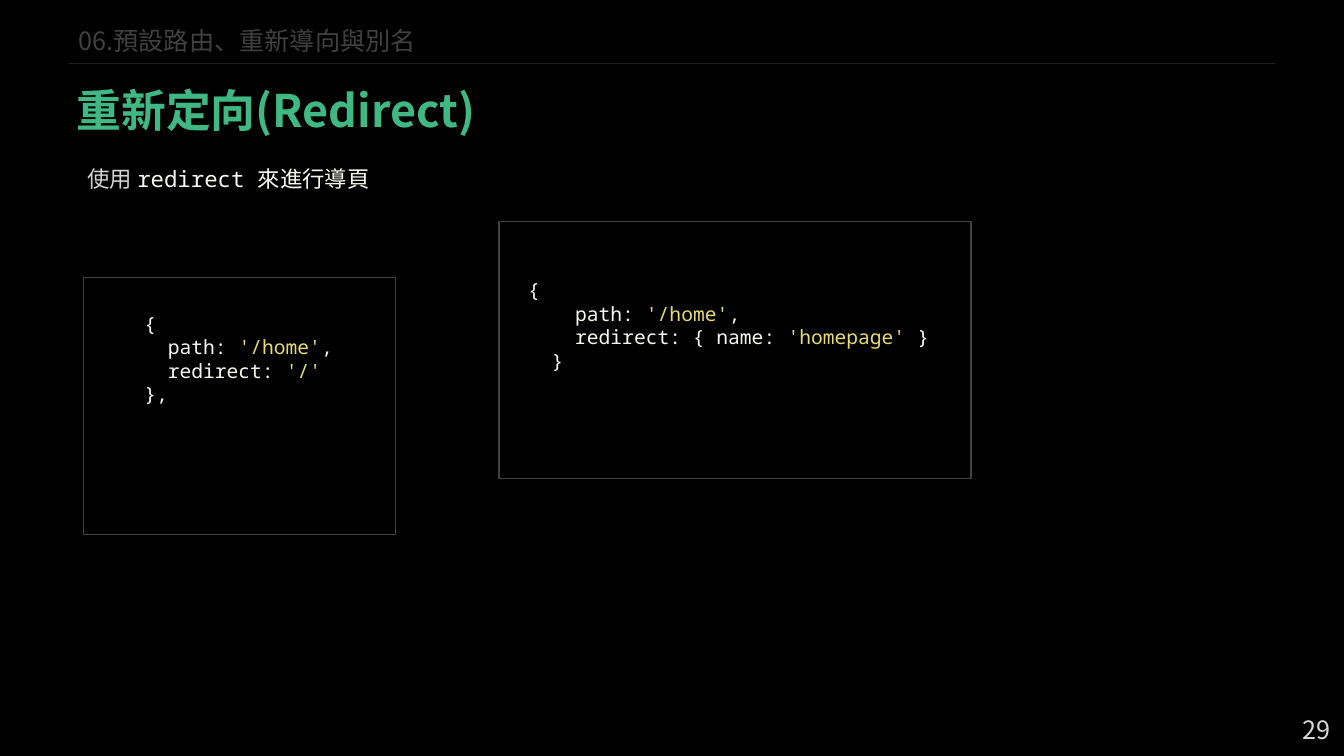
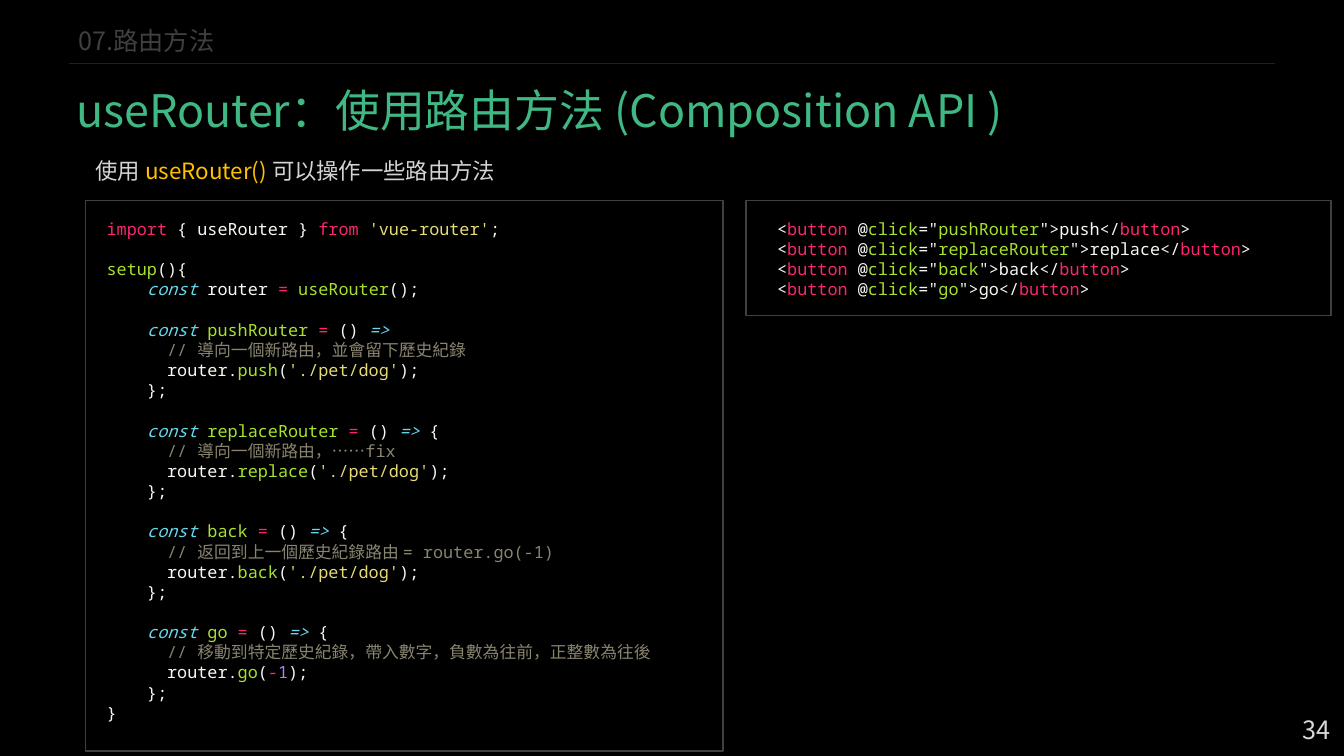
from lxml import etree
from pptx import Presentation
from pptx.dml.color import RGBColor
from pptx.enum.shapes import MSO_CONNECTOR, MSO_SHAPE
from pptx.oxml.ns import qn
from pptx.util import Inches, Pt

RECTANGLE = MSO_SHAPE.RECTANGLE
STRAIGHT = MSO_CONNECTOR.STRAIGHT
rgb = RGBColor.from_string

# Shared palette and fonts
BLACK, GRAY, GREEN = "000000", "404040", "40B883"
PAGE, BODY, AMBER = "D9D9D9", "D4D4D4", "FFC000"
PLAIN, STRING, KEYWORD, NAME = "F8F8F2", "E6DB74", "F92672", "A6E22E"
DECLARE, COMMENT, NUMBER = "66D9EF", "88846F", "AE81FF"
SANS, SANS_SC, MONO = "Noto Sans CJK TC", "Noto Sans CJK SC", "Noto Sans Mono"
LINE_RATIO, CHAR_RATIO = 1.2, 0.6  # line height and mono width per point


def add_text(slide, box, lines, size, font=SANS, spacing=None, bold=None):
    """Each line is (indent in characters, blank lines above, runs)."""
    frame = slide.shapes.add_textbox(*map(Inches, box)).text_frame
    frame.word_wrap = True
    for number, (indent, gap, runs) in enumerate(lines):
        paragraph = frame.paragraphs[0] if number == 0 else frame.add_paragraph()
        if spacing:
            paragraph.line_spacing = spacing
        if gap:
            paragraph.space_before = Pt(gap * size * LINE_RATIO)
        if indent:
            properties = paragraph._p.get_or_add_pPr()
            properties.set("marL", str(Pt(indent * size * CHAR_RATIO)))
            properties.set("indent", "0")
        for text, color, *own_font in runs:
            run = paragraph.add_run()
            run.text = text
            run.font.size = Pt(size)
            run.font.name = own_font[0] if own_font else font
            run.font.color.rgb = rgb(color)
            run.font.bold = bold
            if color == DECLARE:
                run.font.italic = True
            east_asian = etree.SubElement(run._r.rPr, qn("a:ea"))
            east_asian.set("typeface", SANS)


def add_code(slide, frame_box, text_box, lines, size):
    frame = slide.shapes.add_shape(RECTANGLE, *map(Inches, frame_box))
    frame.shadow.inherit = False
    frame.fill.background()
    frame.line.color.rgb = rgb(GRAY)
    frame.line.width = Pt(1)
    add_text(slide, text_box, lines, size, MONO)


prs = Presentation()
prs.slide_width, prs.slide_height = Inches(13.33), Inches(7.5)

# Background, chapter header, rule, title and page number
pages = [
    ("06.預設路由、重新導向與別名", "重新定向(Redirect)", True, "29"),
    ("07.路由方法", "useRouter：使用路由方法 (Composition API )", None, "34"),
]
slides = []
for chapter, title, bold, page in pages:
    slide = prs.slides.add_slide(prs.slide_layouts[6])
    slides.append(slide)
    slide.background.fill.solid()
    slide.background.fill.fore_color.rgb = rgb(BLACK)
    add_text(slide, (12.82, 7.04, 1.99, 0.4), [(0, 0, [(page, PAGE)])], 18, SANS_SC)
    add_text(slide, (0.68, 0.22, 5, 0.38), [(0, 0, [(chapter, GRAY)])], 18,
             spacing=Pt(20))
    rule = slide.shapes.add_connector(
        STRAIGHT, Inches(0.68), Inches(0.63), Inches(12.65), Inches(0.63))
    rule.line.color.rgb = rgb(GRAY)
    rule.line.width = Pt(0.5)
    rule_color = rule.line._ln.find(".//" + qn("a:srgbClr"))
    etree.SubElement(rule_color, qn("a:alpha")).set("val", "50000")
    etree.SubElement(rule._element.spPr, qn("a:effectLst"))
    add_text(slide, (0.66, 0.51, 10.68, 0.84), [(0, 0, [(title, GREEN)])], 32,
             spacing=1.5, bold=bold)
redirect_slide, router_slide = slides

# Redirect: introduction
add_text(redirect_slide, (0.77, 1.59, 11.12, 0.37),
         [(0, 0, [("使用 ", BODY), ("redirect 來進行導頁", PLAIN, MONO)])], 16)

# Redirect: by path and by route name
home_path = (4, 0, [("path: ", PLAIN), ("'/home'", STRING), (",", PLAIN)])
add_code(redirect_slide, (0.83, 2.75, 3.09, 2.55), (1.1, 3.04, 4.87, 1.28), [
    (2, 0, [("{", PLAIN)]),
    home_path,
    (4, 0, [("redirect: ", PLAIN), ("'/'", STRING)]),
    (2, 0, [("},", PLAIN)]),
], 14)
add_code(redirect_slide, (4.95, 2.2, 4.68, 2.55), (5.14, 2.71, 6.67, 1.04), [
    (0, 0, [("{", PLAIN)]),
    home_path,
    (4, 0, [("redirect: { name: ", PLAIN), ("'homepage'", STRING), (" }", PLAIN)]),
    (2, 0, [("}", PLAIN)]),
], 14)

# useRouter: introduction
add_text(router_slide, (0.85, 1.38, 9.89, 0.5),
         [(0, 0, [("使用 ", BODY), ("useRouter() ", AMBER),
                  ("可以操作一些路由方法", BODY)])], 16, spacing=1.5)

# useRouter: setup function with one block per routing method
dog_path = [("'./pet/dog'", STRING)]
methods = [
    ("pushRouter", "push", "導向一個新路由，並會留下歷史紀錄", dog_path, ""),
    ("replaceRouter", "replace", "導向一個新路由，……fix", dog_path, " {"),
    ("back", "back", "返回到上一個歷史紀錄路由 = router.go(-1)", dog_path, " {"),
    ("go", "go", "移動到特定歷史紀錄，帶入數字，負數為往前，正整數為往後",
     [("-", KEYWORD), ("1", NUMBER)], " {"),
]
setup_code = [
    (0, 0, [("import", KEYWORD), (" { useRouter } ", PLAIN), ("from ", KEYWORD),
            ("'vue-router'", STRING), (";", PLAIN)]),
    (0, 1, [("setup", NAME), ("(){", PLAIN)]),
    (4, 0, [("const", DECLARE), (" router ", PLAIN), ("= ", KEYWORD),
            ("useRouter", NAME), ("();", PLAIN)]),
]
for handler, method, note, argument, brace in methods:
    opening = [("const ", DECLARE), (handler + " ", NAME), ("=", KEYWORD),
               (" () ", PLAIN), ("=>", DECLARE)]
    if brace:
        opening.append((brace, PLAIN))
    setup_code += [
        (4, 1, opening),
        (6, 0, [("// " + note, COMMENT)]),
        (6, 0, [("router.", PLAIN), (method, NAME), ("(", PLAIN), *argument,
                (");", PLAIN)]),
        (4, 0, [("};", PLAIN)]),
    ]
setup_code.append((0, 0, [("}", PLAIN)]))
add_code(router_slide, (0.85, 1.99, 6.32, 5.46), (0.96, 2.12, 5.7, 5.15),
         setup_code, 12)

# useRouter: template buttons
buttons = [
    (1, 0, [("<", PLAIN), ("button", KEYWORD), (" @", PLAIN), ("click", NAME),
            ('="', PLAIN), (handler, NAME), (f'">{method}</', PLAIN),
            ("button", KEYWORD), (">", PLAIN)])
    for handler, method in [("pushRouter", "push"), ("replaceRouter", "replace"),
                            ("back", "back"), ("go", "go")]
]
add_code(router_slide, (7.4, 1.99, 5.8, 1.14), (7.51, 2.12, 5.46, 0.91), buttons, 12)

prs.save("out.pptx")
